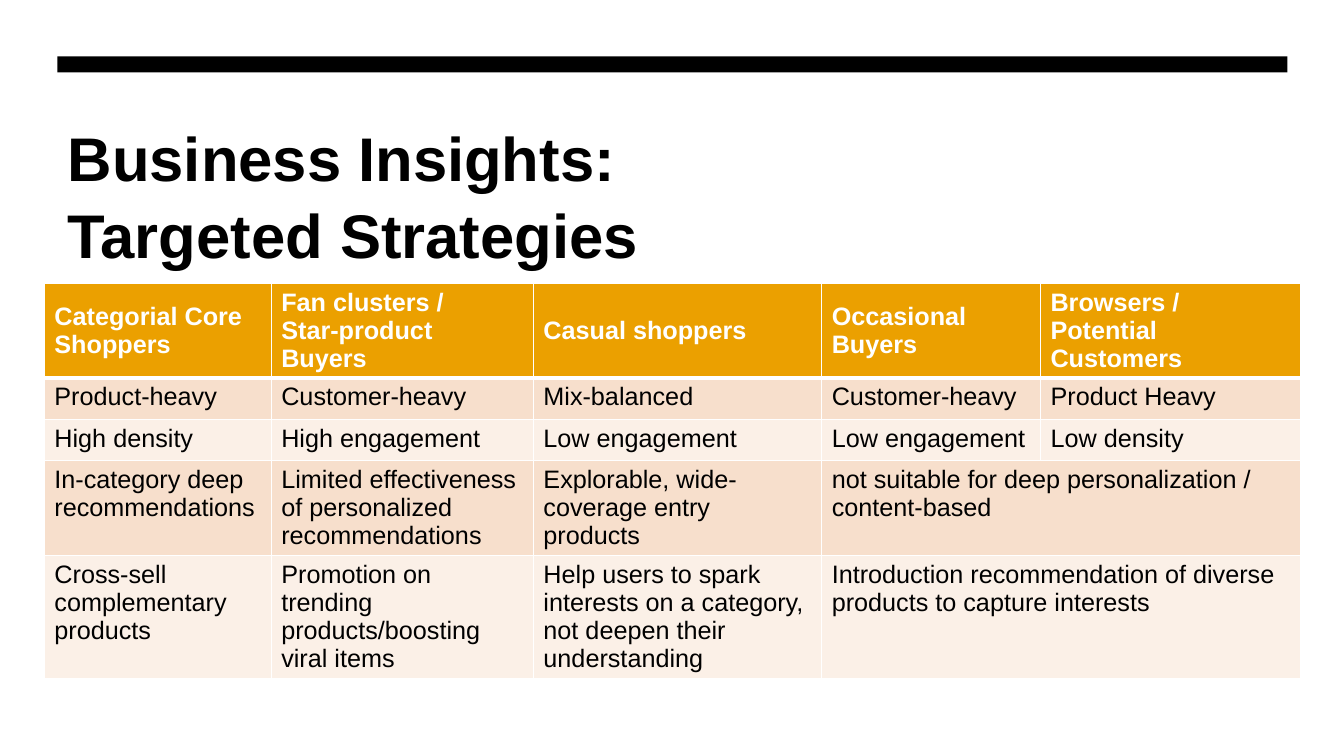
from lxml.etree import SubElement
from pptx import Presentation
from pptx.dml.color import RGBColor
from pptx.enum.shapes import MSO_SHAPE
from pptx.enum.text import MSO_ANCHOR, PP_ALIGN
from pptx.oxml.ns import qn
from pptx.util import Inches, Pt

BLACK = RGBColor(0x00, 0x00, 0x00)
WHITE = RGBColor(0xFF, 0xFF, 0xFF)
ORANGE = RGBColor(0xEB, 0xA0, 0x00)
PEACH = RGBColor(0xF7, 0xDF, 0xCC)
CREAM = RGBColor(0xFB, 0xF0, 0xE7)

COL_WIDTHS = [2.25, 2.6, 2.86, 2.17, 2.58]
ROW_HEIGHT = 0.41
ROWS = [
    ["Categorial Core Shoppers", "Fan clusters /\nStar-product Buyers", "Casual shoppers",
     "Occasional Buyers", "Browsers /\nPotential Customers"],
    ["Product-heavy", "Customer-heavy", "Mix-balanced", "Customer-heavy", "Product Heavy"],
    ["High density", "High engagement", "Low engagement", "Low engagement", "Low density"],
    ["In-category deep recommendations",
     "Limited effectiveness of personalized recommendations",
     "Explorable, wide-coverage entry products",
     "not suitable for deep personalization / content-based"],
    ["Cross-sell complementary products",
     "Promotion on trending products/boosting viral items",
     "Help users to spark interests on a category, not deepen their understanding",
     "Introduction recommendation of diverse products to capture interests"],
]


def set_borders(cell, bottom_width):
    """Draw white cell borders, 1 pt except for the bottom and, below the header, the top."""
    tc_pr = cell._tc.get_or_add_tcPr()
    for i, (side, width) in enumerate([("L", 1), ("R", 1), ("T", 1), ("B", bottom_width)]):
        ln = SubElement(tc_pr, qn(f"a:ln{side}"), w=str(Pt(width)))
        fill = SubElement(ln, qn("a:solidFill"))
        SubElement(fill, qn("a:srgbClr"), val=str(WHITE))
        tc_pr.remove(ln)
        tc_pr.insert(i, ln)


prs = Presentation()
prs.slide_width = Inches(13.33)
prs.slide_height = Inches(7.5)
slide = prs.slides.add_slide(prs.slide_layouts[5])

# Top bar
bar = slide.shapes.add_shape(MSO_SHAPE.RECTANGLE, Inches(0.57), Inches(0.56),
                             Inches(12.2), Inches(0.16))
bar.shadow.inherit = False
bar.fill.solid()
bar.fill.fore_color.rgb = BLACK
bar.line.fill.background()

# Title
title = slide.shapes.title
title.left, title.top = Inches(0.57), Inches(1.07)
title.width, title.height = Inches(12.19), Inches(1.82)
tf = title.text_frame
tf.word_wrap = True
tf.vertical_anchor = MSO_ANCHOR.TOP
tf.margin_top = Inches(0.08)
tf.text = "Business Insights: \vTargeted Strategies"
p = tf.paragraphs[0]
p.alignment = PP_ALIGN.LEFT
p.line_spacing = 1.05
p.font.name = "Arial"
p.font.size = Pt(44)
p.font.bold = True
p.font.color.rgb = BLACK

# Strategy table
table = slide.shapes.add_table(len(ROWS), len(COL_WIDTHS), Inches(0.44), Inches(2.81),
                               Inches(sum(COL_WIDTHS)), Inches(ROW_HEIGHT * len(ROWS))).table
for column, width in zip(table.columns, COL_WIDTHS):
    column.width = Inches(width)

for r, texts in enumerate(ROWS):
    table.rows[r].height = Inches(ROW_HEIGHT)
    header = r == 0
    if len(texts) < len(COL_WIDTHS):
        table.cell(r, len(texts) - 1).merge(table.cell(r, len(COL_WIDTHS) - 1))
    for c in range(len(COL_WIDTHS)):
        cell = table.cell(r, c)
        cell.fill.solid()
        cell.fill.fore_color.rgb = ORANGE if header else PEACH if r % 2 else CREAM
        set_borders(cell, 3 if header else 1)
        if cell.is_spanned:
            continue
        cell.vertical_anchor = MSO_ANCHOR.MIDDLE if header else MSO_ANCHOR.TOP
        cell.text = texts[c]
        for p in cell.text_frame.paragraphs:
            p.font.name = "Arial"
            p.font.size = Pt(18)
            p.font.bold = header
            p.font.color.rgb = WHITE if header else BLACK

prs.save("out.pptx")
